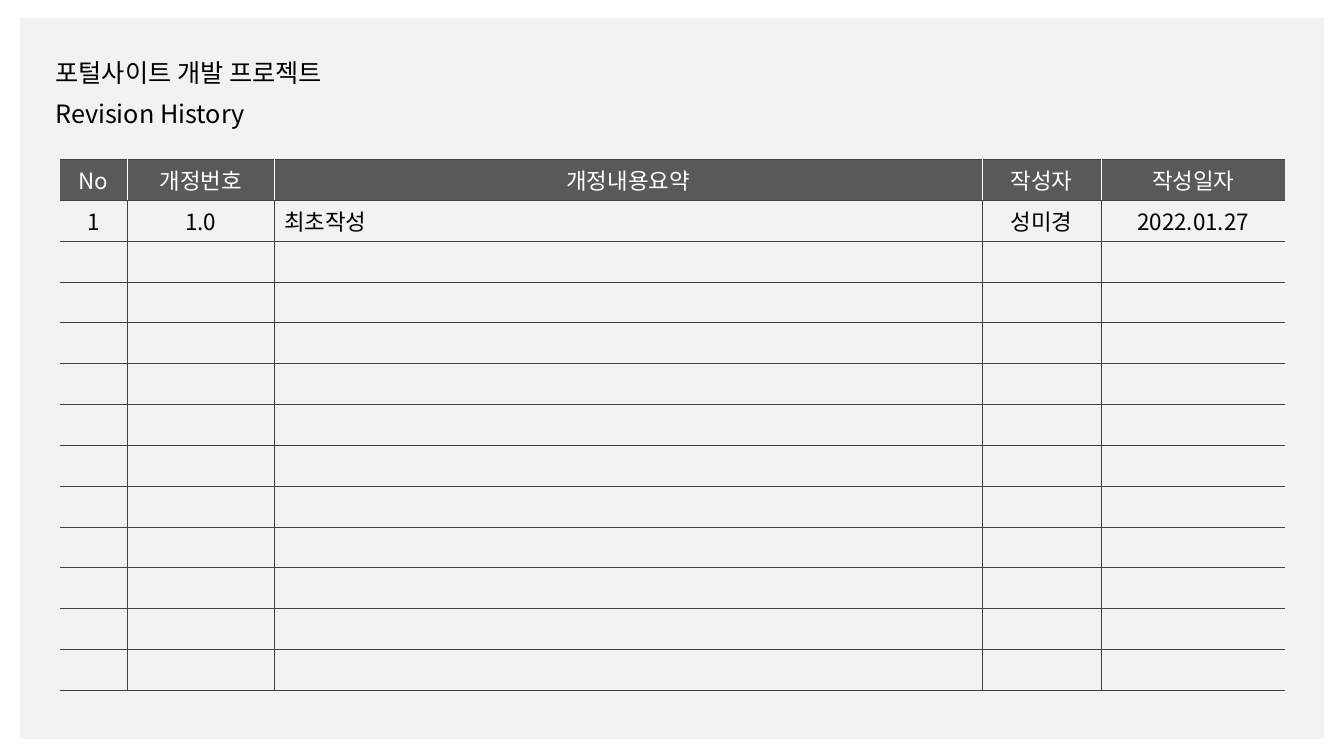
from dataclasses import dataclass

from pptx import Presentation, util as u
from pptx.dml.color import RGBColor
from pptx.enum import shapes, text
from pptx.oxml import ns, xmlchemy

PROJECT = "포털사이트 개발 프로젝트"
SUBJECT = "Revision History"
HEADERS = ["No", "개정번호", "개정내용요약", "작성자", "작성일자"]
REVISIONS = [["1", "1.0", "최초작성", "성미경", "2022.01.27"]]
ROW_COUNT = 13
SUMMARY_COLUMN = 2
COLUMN_WIDTHS = [0.67, 1.46, 7.02, 1.18, 1.83]

SLIDE_SIZE = (13.33, 7.5)
PANEL = (0.2, 0.18, 12.93, 7.15)
HEADING_LEFT, HEADING_TOP, HEADING_STEP = 0.45, 0.52, 0.41
HEADING_SIZE = (2.99, 0.4)
TABLE_LEFT, TABLE_TOP, TABLE_HEIGHT = 0.59, 1.58, 5.27


@dataclass(frozen=True)
class Theme:
    font: str = "Noto Sans CJK KR"
    heading_size: int = 18
    cell_size: int = 16
    ink: str = "000000"
    panel: str = "F2F2F2"
    header: str = "595959"
    header_ink: str = "FFFFFF"
    rule: str = "404040"
    thin: float = 0.25
    thick: float = 0.5


THEME = Theme()


def inches(values):
    return [u.Inches(value) for value in values]


def write(frame, words, size, color, align):
    frame.text = words
    para = frame.paragraphs[0]
    para.alignment = align
    font = para.font
    font.size = u.Pt(size)
    font.name = THEME.font
    font.color.rgb = RGBColor.from_string(color)
    east_asian = xmlchemy.OxmlElement("a:ea")
    east_asian.set("typeface", THEME.font)
    font._element.find(ns.qn("a:latin")).addnext(east_asian)


def write_heading(box, words, row):
    box.left, box.top = inches((HEADING_LEFT, HEADING_TOP + row * HEADING_STEP))
    box.width, box.height = inches(HEADING_SIZE)
    frame = box.text_frame
    frame.word_wrap = False
    frame.auto_size = text.MSO_AUTO_SIZE.SHAPE_TO_FIT_TEXT
    frame.vertical_anchor = text.MSO_ANCHOR.TOP
    write(frame, words, THEME.heading_size, THEME.ink, text.PP_ALIGN.LEFT)


def add_border(cell, side, color, width):
    line = xmlchemy.OxmlElement(f"a:ln{side}")
    line.set("w", str(u.Pt(width)))
    if color:
        fill = xmlchemy.OxmlElement("a:solidFill")
        tint = xmlchemy.OxmlElement("a:srgbClr")
        tint.set("val", color)
        fill.append(tint)
    else:
        fill = xmlchemy.OxmlElement("a:noFill")
    line.append(fill)
    cell._tc.get_or_add_tcPr().append(line)


def format_cell(cell, row, column):
    is_header = row == 0
    divider = THEME.header_ink if is_header else THEME.rule
    last_column = column == len(HEADERS) - 1
    add_border(cell, "L", divider if column else None, THEME.thin)
    add_border(cell, "R", None if last_column else divider, THEME.thin)
    add_border(cell, "T", THEME.rule, THEME.thick if is_header else THEME.thin)
    add_border(cell, "B", THEME.rule, THEME.thick if row == ROW_COUNT - 1 else THEME.thin)
    cell.margin_top = cell.margin_bottom = u.Inches(0.03)
    cell.vertical_anchor = text.MSO_ANCHOR.MIDDLE
    if is_header:
        cell.fill.solid()
        cell.fill.fore_color.rgb = RGBColor.from_string(THEME.header)
    else:
        cell.fill.background()


def add_history(page):
    bounds = inches((TABLE_LEFT, TABLE_TOP, sum(COLUMN_WIDTHS), TABLE_HEIGHT))
    table = page.shapes.add_table(ROW_COUNT, len(HEADERS), *bounds).table
    table.horz_banding = False
    for column, width in zip(table.columns, COLUMN_WIDTHS):
        column.width = u.Inches(width)
    for row in table.rows:
        row.height = u.Inches(TABLE_HEIGHT / ROW_COUNT)
    for row in range(ROW_COUNT):
        for column in range(len(HEADERS)):
            format_cell(table.cell(row, column), row, column)
    for row, values in enumerate([HEADERS, *REVISIONS]):
        for column, words in enumerate(values):
            is_summary = row > 0 and column == SUMMARY_COLUMN
            align = text.PP_ALIGN.LEFT if is_summary else text.PP_ALIGN.CENTER
            color = THEME.ink if row else THEME.header_ink
            write(table.cell(row, column).text_frame, words, THEME.cell_size, color, align)


def add_panel(page):
    panel = page.shapes.add_shape(shapes.MSO_SHAPE.RECTANGLE, *inches(PANEL))
    panel.shadow.inherit = False
    panel.fill.solid()
    panel.fill.fore_color.rgb = RGBColor.from_string(THEME.panel)
    panel.line.fill.background()
    page.shapes.title._element.addprevious(panel._element)


def main():
    deck = Presentation()
    deck.slide_width, deck.slide_height = inches(SLIDE_SIZE)
    page = deck.slides.add_slide(deck.slide_layouts[5])
    add_panel(page)
    write_heading(page.shapes.title, PROJECT, 0)
    write_heading(page.shapes.add_textbox(0, 0, 0, 0), SUBJECT, 1)
    add_history(page)
    deck.save("out.pptx")


if __name__ == "__main__":
    main()
